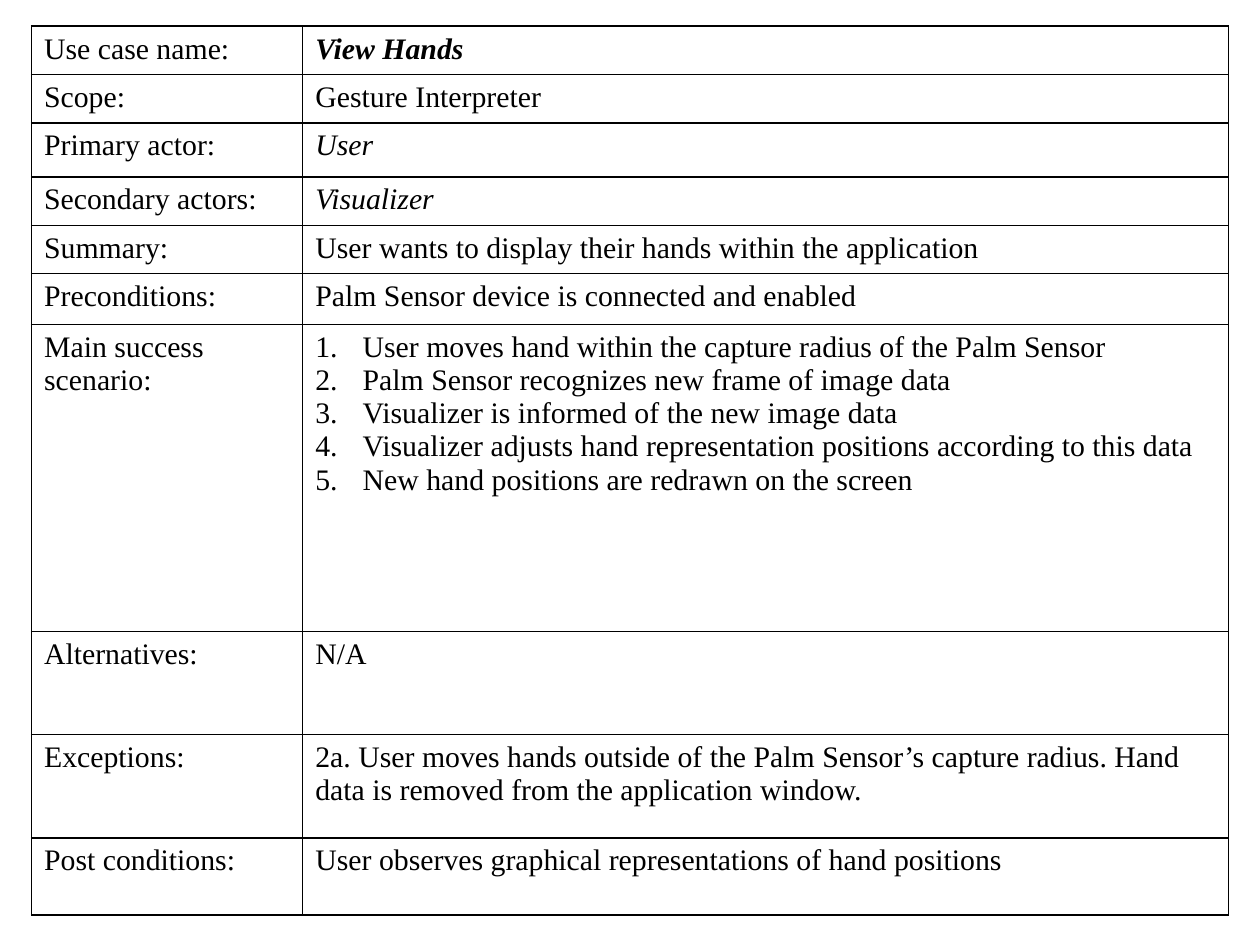
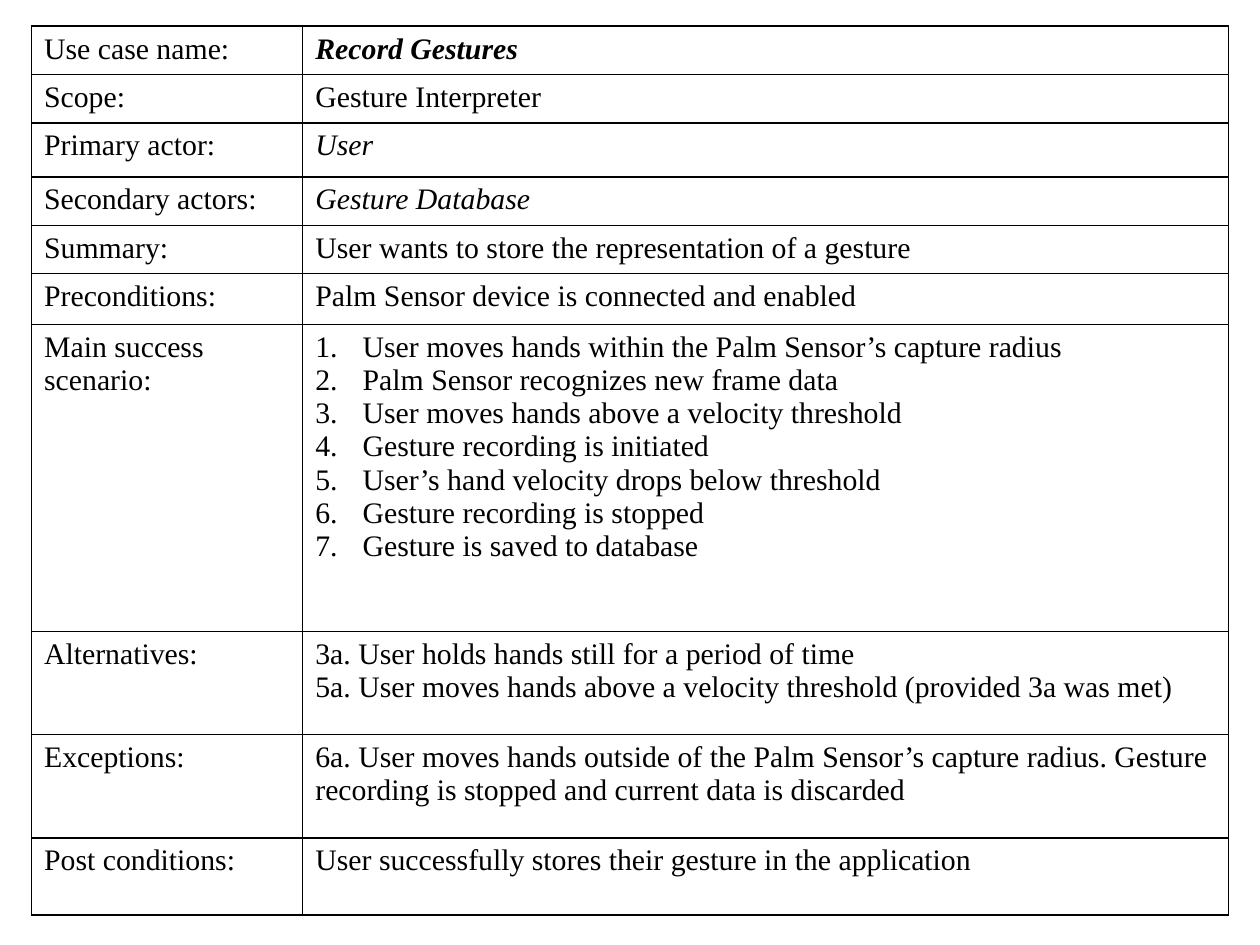
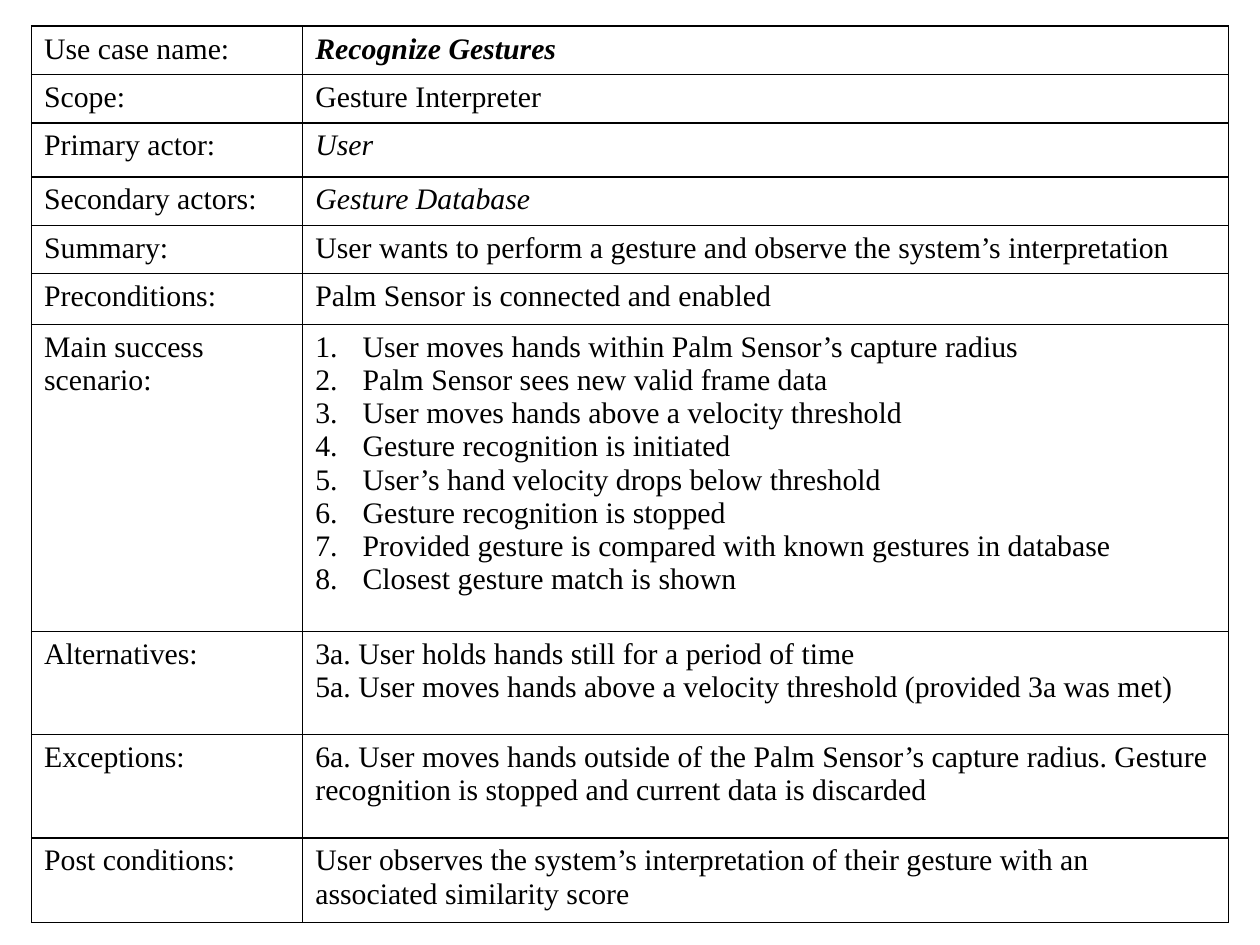
from dataclasses import dataclass

from lxml import etree
from pptx import Presentation
from pptx.dml.color import RGBColor
from pptx.oxml.ns import qn
from pptx.util import Pt

BLANK = 6
FONT, SIZE, INK = "Times New Roman", 17, "000000"
LEFT, TOP = 18, 15
COLS = (155, 529)
LINE, WIDE, LIST = 27.6, 59, 175.5
ROWS = (LINE, LINE, 31, LINE, LINE, 29, LIST, WIDE, WIDE)
LAST = 44
INDENT = 27
LABELS = ("Use case name:", "Scope:", "Primary actor:", "Secondary actors:",
          "Summary:", "Preconditions:", "Main success scenario:",
          "Alternatives:", "Exceptions:", "Post conditions:")
SCOPE, ACTOR = "Gesture Interpreter", "User"


@dataclass
class Case:
    name: str
    helper: str
    summary: str
    needs: str
    steps: list[str]
    others: list[str]
    errors: str
    result: str
    last: float = LAST


@dataclass
class Entry:
    lines: list[str]
    bold: bool = False
    italic: bool = False
    steps: bool = False


HOLD = ["3a. User holds hands still for a period of time",
        "5a. User moves hands above a velocity threshold (provided 3a was met)"]
FAST = "User moves hands above a velocity threshold"
SLOW = "User’s hand velocity drops below threshold"
READY = "Palm Sensor device is connected and enabled"
AWAY = "User moves hands outside of the Palm Sensor’s capture radius."

CASES = [
    Case("View Hands", "Visualizer",
         "User wants to display their hands within the application", READY,
         ["User moves hand within the capture radius of the Palm Sensor",
          "Palm Sensor recognizes new frame of image data",
          "Visualizer is informed of the new image data",
          "Visualizer adjusts hand representation positions according to this data",
          "New hand positions are redrawn on the screen"],
         ["N/A"],
         f"2a. {AWAY} Hand data is removed from the application window.",
         "User observes graphical representations of hand positions"),
    Case("Record Gestures", "Gesture Database",
         "User wants to store the representation of a gesture", READY,
         ["User moves hands within the Palm Sensor’s capture radius",
          "Palm Sensor recognizes new frame data",
          FAST, "Gesture recording is initiated",
          SLOW, "Gesture recording is stopped",
          "Gesture is saved to database"],
         HOLD,
         f"6a. {AWAY} Gesture recording is stopped and current data is discarded",
         "User successfully stores their gesture in the application"),
    Case("Recognize Gestures", "Gesture Database",
         "User wants to perform a gesture and observe the system’s interpretation",
         "Palm Sensor is connected and enabled",
         ["User moves hands within Palm Sensor’s capture radius",
          "Palm Sensor sees new valid frame data",
          FAST, "Gesture recognition is initiated",
          SLOW, "Gesture recognition is stopped",
          "Provided gesture is compared with known gestures in database",
          "Closest gesture match is shown"],
         HOLD,
         f"6a. {AWAY} Gesture recognition is stopped and current data is discarded",
         "User observes the system’s interpretation of their gesture with an "
         "associated similarity score",
         last=48.3),
]


def color(code: str) -> RGBColor:
    return RGBColor.from_string(code)


def frame(cell) -> None:
    """Give the cell four thin borders and no fill."""
    props = cell._tc.get_or_add_tcPr()
    for side in ("a:lnL", "a:lnR", "a:lnT", "a:lnB"):
        line = etree.SubElement(props, qn(side), w=str(Pt(1)))
        fill = etree.SubElement(line, qn("a:solidFill"))
        etree.SubElement(fill, qn("a:srgbClr"), val=INK)
    cell.fill.background()


def number(para) -> None:
    props = para._p.get_or_add_pPr()
    props.set("marL", str(Pt(INDENT)))
    props.set("indent", str(-Pt(INDENT)))
    etree.SubElement(props, qn("a:buFont"), typeface="+mj-lt")
    etree.SubElement(props, qn("a:buAutoNum"), type="arabicPeriod")


def write(cell, entry: Entry) -> None:
    frame(cell)
    cell.text_frame.text = "\n".join(entry.lines)
    for para in cell.text_frame.paragraphs:
        if entry.steps:
            number(para)
        font = para.font
        font.name, font.size = FONT, Pt(SIZE)
        font.bold, font.italic = entry.bold, entry.italic
        font.color.rgb = color(INK)


def entries(case: Case) -> list[Entry]:
    return [
        Entry([case.name], bold=True, italic=True),
        Entry([SCOPE]),
        Entry([ACTOR], italic=True),
        Entry([case.helper], italic=True),
        Entry([case.summary]),
        Entry([case.needs]),
        Entry(case.steps, steps=True),
        Entry(case.others),
        Entry([case.errors]),
        Entry([case.result]),
    ]


def draw(slide, case: Case) -> None:
    rows = (*ROWS, case.last)
    table = slide.shapes.add_table(len(rows), len(COLS), Pt(LEFT), Pt(TOP),
                                   Pt(sum(COLS)), Pt(sum(rows))).table
    table.first_row = table.horz_banding = False
    for col, width in zip(table.columns, COLS):
        col.width = Pt(width)
    for row, height, label, entry in zip(table.rows, rows, LABELS, entries(case)):
        row.height = Pt(height)
        write(row.cells[0], Entry([label]))
        write(row.cells[1], entry)


def main() -> None:
    deck = Presentation()
    deck.slide_width, deck.slide_height = Pt(720), Pt(540)
    for case in CASES:
        draw(deck.slides.add_slide(deck.slide_layouts[BLANK]), case)
    deck.save("out.pptx")


if __name__ == "__main__":
    main()
